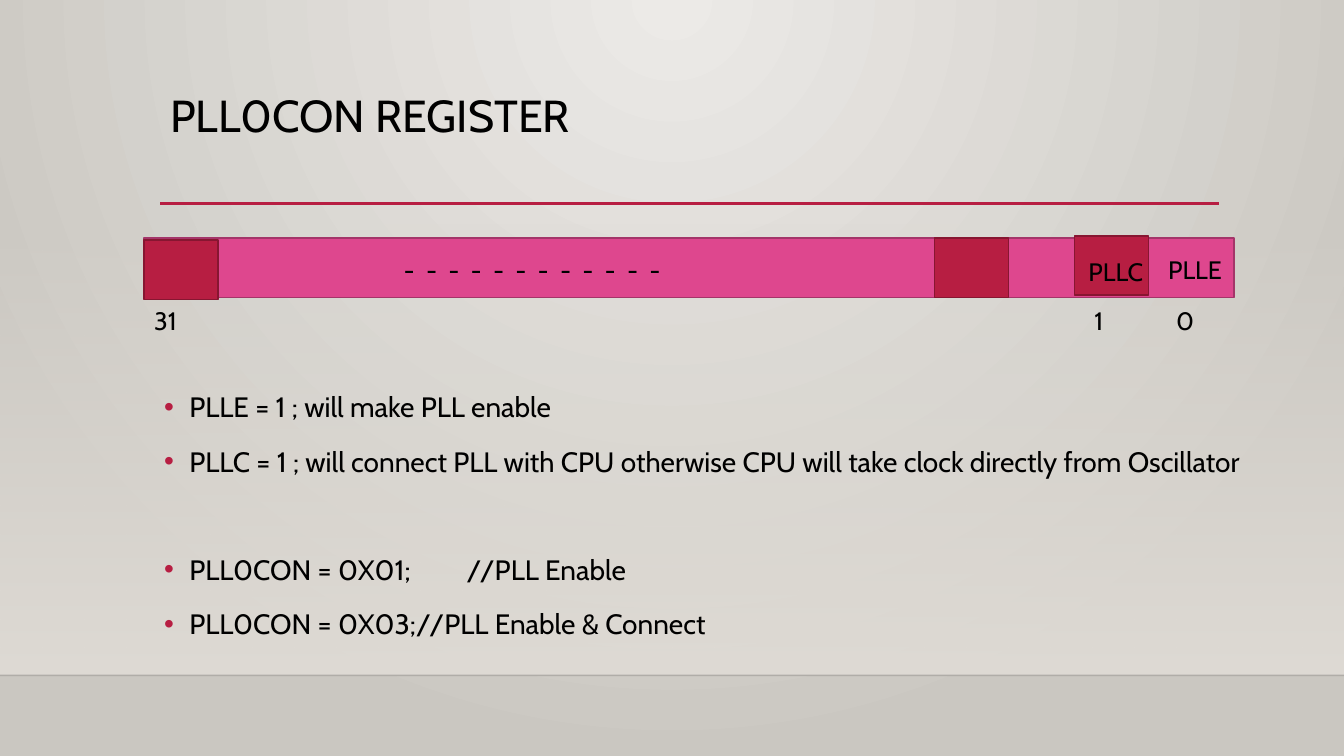
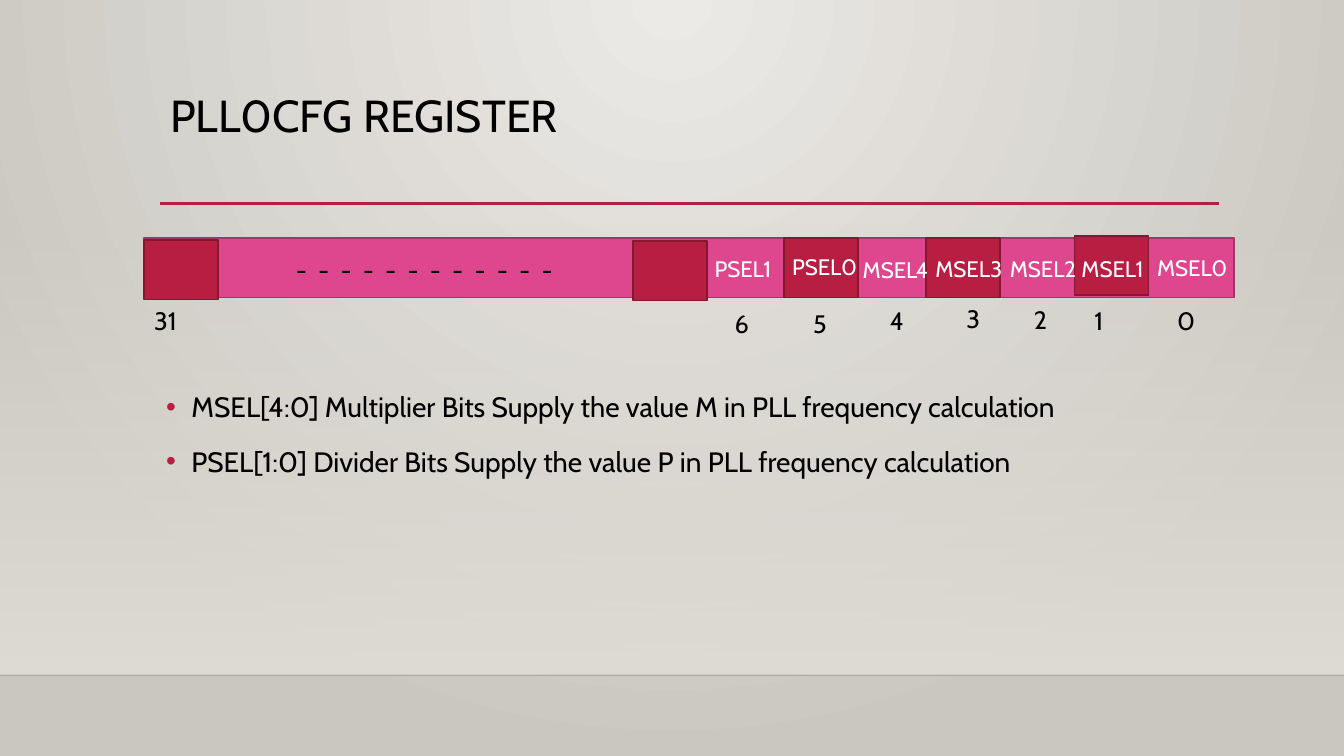
import pptx
import pptx.dml.color
import pptx.enum.shapes
import pptx.oxml.ns
import pptx.util
from lxml import etree

Pt = pptx.util.Pt
RGBColor = pptx.dml.color.RGBColor
qn = pptx.oxml.ns.qn

FONT = "Cabin"
BLACK = RGBColor(0x00, 0x00, 0x00)
WHITE = RGBColor(0xFF, 0xFF, 0xFF)
CRIMSON = RGBColor(0xB7, 0x1E, 0x42)
CRIMSON_EDGE = RGBColor(0x87, 0x16, 0x31)
PINK = RGBColor(0xDE, 0x47, 0x8E)
PINK_EDGE = RGBColor(0xA4, 0x35, 0x69)
GLOW_CENTRE = RGBColor(0xEC, 0xEA, 0xE7)
GLOW_EDGE = RGBColor(0xCA, 0xC7, 0xC1)
WALL = RGBColor(0xDF, 0xDB, 0xD5)

SLIDE_W, SLIDE_H = 960, 540
FLOOR_Y = 482.4
BAR_X, BAR_Y, BAR_W = 103, 170, 778.3
CELL_W, CELL_H = 52.8, 42.5
DASHES = " ".join("-" * 12)


def add_text(s, text, x, y, w, h=28.8, size=18, color=BLACK,
             line_spacing=1.0, letter_spacing=0):
    """Add a text box with one paragraph per line of text."""
    tf = s.shapes.add_textbox(Pt(x), Pt(y), Pt(w), Pt(h)).text_frame
    tf.word_wrap = True
    tf.text = text
    for p in tf.paragraphs:
        p.line_spacing = line_spacing
        for r in p.runs:
            r.font.name = FONT
            r.font.size = Pt(size)
            r.font.color.rgb = color
            if letter_spacing:
                r.font._element.set("spc", str(round(letter_spacing * 100)))
    return tf


def add_rect(s, x, y, w, h):
    sp = s.shapes.add_shape(pptx.enum.shapes.MSO_SHAPE.RECTANGLE,
                            Pt(x), Pt(y), Pt(w), Pt(h))
    sp.shadow.inherit = False
    return sp


def add_box(s, x, y, w, fill, edge):
    sp = add_rect(s, x, y, w, CELL_H)
    sp.fill.solid()
    sp.fill.fore_color.rgb = fill
    sp.line.color.rgb = edge
    sp.line.width = Pt(1.25)


def add_rule(s, x1, x2, y, color, width):
    line = s.shapes.add_connector(pptx.enum.shapes.MSO_CONNECTOR.STRAIGHT,
                                  Pt(x1), Pt(y), Pt(x2), Pt(y))
    line.line.color.rgb = color
    line.line.width = Pt(width)
    etree.SubElement(line._element.spPr, qn("a:effectLst"))
    return line


def set_gradient(fill, start, end):
    fill.gradient()
    for stop, color, position in zip(fill.gradient_stops, (start, end), (0, 1)):
        stop.color.rgb = color
        stop.position = position


def set_opacity(element, percent):
    """Set the opacity of the first colour inside element."""
    color = element.find(".//" + qn("a:srgbClr"))
    etree.SubElement(color, qn("a:alpha"), val=str(percent * 1000))


def set_background(s):
    set_gradient(s.background.fill, GLOW_CENTRE, GLOW_EDGE)
    lin = s.element.find(".//" + qn("a:lin"))
    circle = etree.Element(qn("a:path"), {"path": "circle"})
    etree.SubElement(circle, qn("a:fillToRect"),
                     l="43000", t="0", r="43000", b="100000")
    lin.getparent().replace(lin, circle)


def start_slide(prs, title):
    """Add a slide with the shared background, wall, rules and title."""
    s = prs.slides.add_slide(prs.slide_layouts[6])
    set_background(s)
    wall = add_rect(s, 0, 159, SLIDE_W, FLOOR_Y - 159)
    set_gradient(wall.fill, WALL, WALL)
    wall.fill.gradient_angle = 270
    set_opacity(wall._element.spPr, 0)
    wall.line.fill.background()
    floor = add_rule(s, 0, SLIDE_W, FLOOR_Y, BLACK, 1)
    set_opacity(floor._element.spPr, 20)
    add_rule(s, 114.5, 871, 145.5, CRIMSON, 2.5)
    add_text(s, title, 114.5, 63.4, 756, 82.8, size=32, line_spacing=0.9)
    return s


def add_register(s, cells, names, numbers, dashes_x, **name_format):
    """Draw the register bar; every item carries its left and top."""
    add_box(s, BAR_X, BAR_Y, BAR_W, PINK, PINK_EDGE)
    for x, y in cells:
        add_box(s, x, y, CELL_W, CRIMSON, CRIMSON_EDGE)
    add_text(s, DASHES, dashes_x, 177.8, 225, letter_spacing=2.15)
    for name, x, y in names:
        add_text(s, name, x, y, 85, **name_format)
    for number, x, y in numbers:
        add_text(s, number, x, y, 39)


def add_bullets(s, lines, x, h):
    tf = add_text(s, "\n".join(lines), x, 270, 792, h, size=20, line_spacing=1.2)
    for p in tf.paragraphs:
        p.space_before = Pt(10)
        pPr = p._p.get_or_add_pPr()
        pPr.set("marL", str(Pt(18)))
        pPr.set("indent", str(-Pt(18)))
        color = etree.SubElement(pPr, qn("a:buClr"))
        etree.SubElement(color, qn("a:srgbClr"), val=str(CRIMSON))
        etree.SubElement(pPr, qn("a:buFont"), typeface="Arial")
        etree.SubElement(pPr, qn("a:buChar"), char="•")
    return tf


def add_control_slide(prs):
    s = start_slide(prs, "PLL0CON REGISTER")
    add_register(
        s,
        cells=[(767.5, 168.5), (667.5, 170), (BAR_X, 171.4)],
        names=[("PLLE", 827.3, 177.8), ("PLLC", 770.4, 179.3)],
        numbers=[("31", BAR_X, 214.6), ("1", 774.7, 214.6), ("0", 833, 214.6)],
        dashes_x=281.5)
    tf = add_bullets(s, [
        "PLLE = 1 ; will make PLL enable",
        "PLLC = 1 ; will connect PLL with CPU otherwise CPU will take clock "
        "directly from Oscillator",
        "PLL0CON = 0X01; \t//PLL Enable",
        "PLL0CON = 0X03;\t//PLL Enable & Connect"], 110.2, 190.8)
    tf.paragraphs[2].space_before = Pt(48.6)


def add_configuration_slide(prs):
    s = start_slide(prs, "PLL0CFG REGISTER")
    add_register(
        s,
        cells=[(767.5, 168.5), (661.7, 170), (BAR_X, 171.4),
               (560.2, 170), (452.2, 172.1)],
        names=[("MSEL0", 819.4, 177.8), ("MSEL1", 765.4, 178.6),
               ("MSEL2", 714.2, 178.6), ("MSEL3", 661, 178.6),
               ("MSEL4", 609.1, 179.3), ("PSEL0", 558.7, 177.1),
               ("PSEL1", 503.3, 178.6)],
        numbers=[("31", BAR_X, 214.6), ("0", 833.8, 214.6), ("1", 774.7, 214.6),
                 ("2", 731.5, 213.8), ("3", 683.3, 213.1), ("4", 628.6, 214.6),
                 ("5", 573.8, 216.7), ("6", 517.7, 216.7)],
        dashes_x=204.5, size=16, color=WHITE)
    add_bullets(s, [
        "MSEL[4:0] Multiplier Bits Supply the value M in PLL frequency calculation",
        "PSEL[1:0] Divider Bits Supply the value P in PLL frequency calculation",
    ], 111.6, 72.7)


def main():
    prs = pptx.Presentation()
    prs.slide_width, prs.slide_height = Pt(SLIDE_W), Pt(SLIDE_H)
    add_control_slide(prs)
    add_configuration_slide(prs)
    prs.save("out.pptx")


if __name__ == "__main__":
    main()
